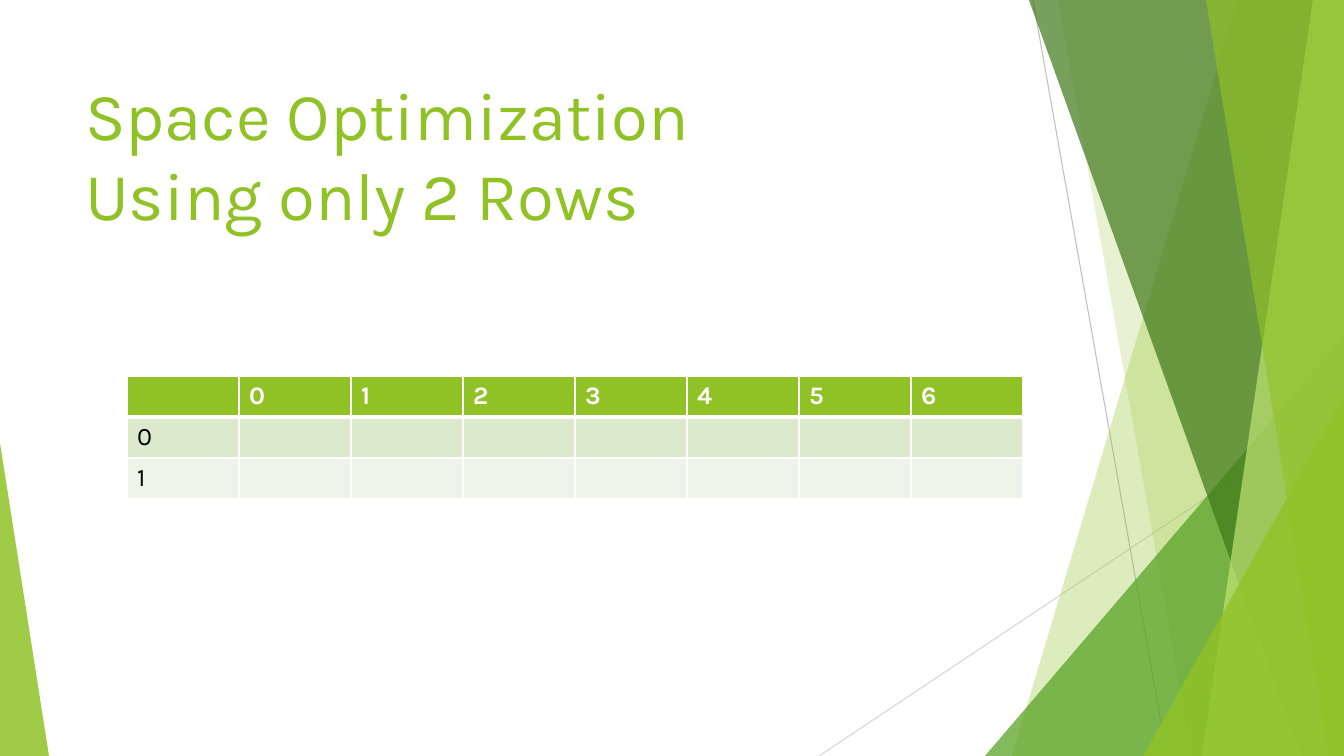
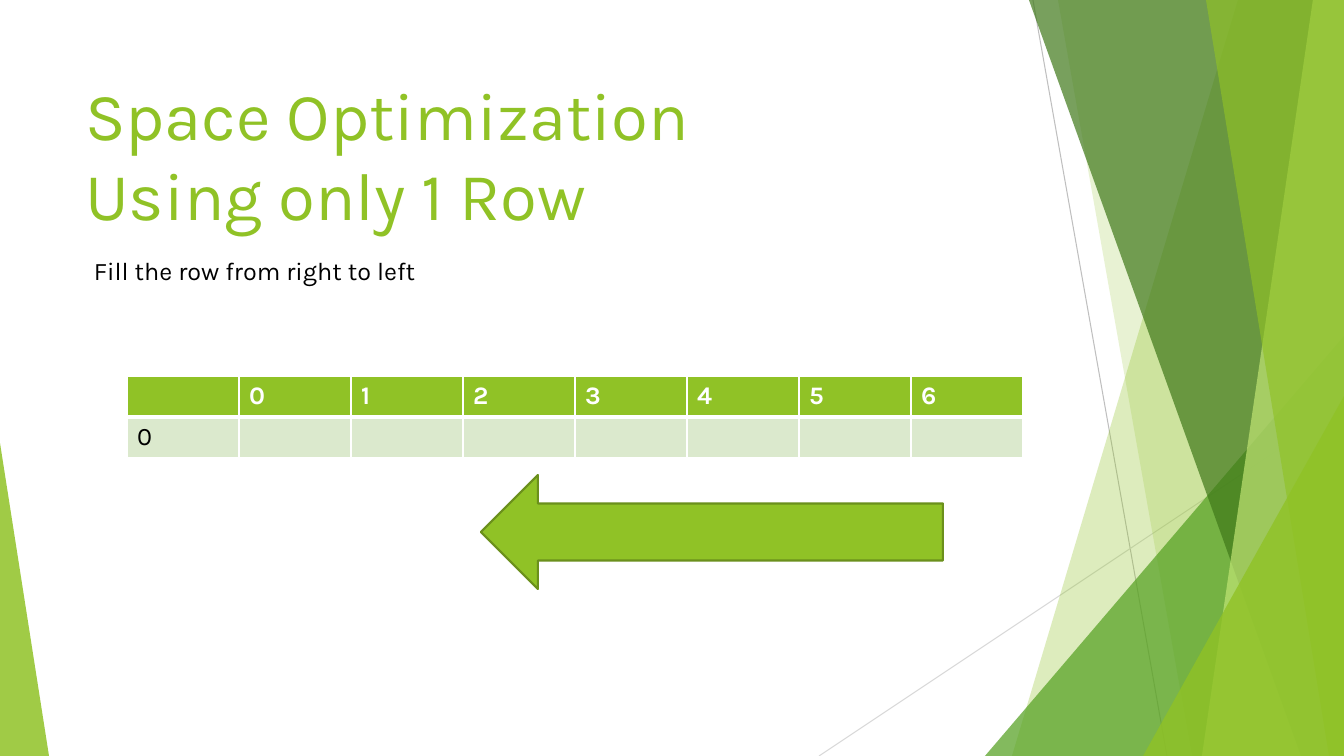
from lxml import etree
from pptx import Presentation
from pptx import util as u
from pptx.dml.color import RGBColor
from pptx.enum import shapes, text
from pptx.oxml.ns import qn

PX = 914400 / 100.8
WIDE, HIGH = 1344, 756
FONT = "Karla"
GREEN, WHITE, BLACK = "90C226", "FFFFFF", "000000"
ROWS = ["DBE9CD", "EEF4E8"]
HEADS = ["", "0", "1", "2", "3", "4", "5", "6"]
COL, ROW = 112, 41


def px(*sizes):
    """Turn pixel lengths into a list of EMU lengths."""
    return [u.Emu(round(size * PX)) for size in sizes]


def paint(target, color):
    """Give a fill or a font one solid colour."""
    if hasattr(target, "solid"):
        target.solid()
        target.fore_color.rgb = RGBColor.from_string(color)
    else:
        target.color.rgb = RGBColor.from_string(color)


deck = Presentation()
deck.slide_width, deck.slide_height = px(WIDE, HIGH)
layout = deck.slide_layouts[5]
spot = layout.placeholders[0]
spot.left, spot.top, spot.width, spot.height = px(75, 68, 947, 145)
first = deck.slides.add_slide(layout)
decor = []

# Thin lines: ends, colour
for ends, color in [((1033, 0, 1167, HIGH), "BFBFBF"),
                    ((WIDE, 406, 819, HIGH), "D9D9D9")]:
    line = first.shapes.add_connector(shapes.MSO_CONNECTOR.STRAIGHT, *px(*ends))
    paint(line.line.fill, color)
    line.line.width = u.Pt(0.75)
    etree.SubElement(line.element.spPr, qn("a:effectLst"))
    decor.append(line)

# Bands give the top and bottom of their left edge, peaks give their box
facets = [
    ((1238, 1012), GREEN, 30),
    ((1058, 1192), GREEN, 20),
    ((985, 336, 359, 420), "54A021", 72),
    ((1029, 1301), "3F7819", 70),
    ((1313, 1202), "C0E474", 70),
    ((1206, 1329), GREEN, 65),
    ((1143, 396, 201, 360), GREEN, 80),
    ((0, 443, 49, 313), GREEN, 85),
]
for place, color, alpha in facets:
    if len(place) == 2:
        top, base = place
        pen = first.shapes.build_freeform(*px(top, 0), scale=1.0)
        pen.add_line_segments([px(WIDE, 0), px(WIDE, HIGH), px(base, HIGH)])
        facet = pen.convert_to_shape()
    else:
        facet = first.shapes.add_shape(
            shapes.MSO_SHAPE.ISOSCELES_TRIANGLE, *px(*place))
        facet.adjustments[0] = 1 if place[0] else 0
    facet.shadow.inherit = False
    facet.line.fill.background()
    paint(facet.fill, color)
    tint = facet.element.spPr.find(qn("a:solidFill"))[0]
    etree.SubElement(tint, qn("a:alpha"), val=str(alpha * 1000))
    decor.append(facet)

# Both slides share the decoration through their layout
for num, part in enumerate(decor):
    part.element.xpath(".//p:cNvPr")[0].set("id", str(100 + num))
    layout.shapes.element.insert(2 + num, part.element)

second = deck.slides.add_slide(layout)
for slide, last, count in [(first, "Using only 2 Rows", 2),
                           (second, "Using only 1 Row", 1)]:
    title = slide.shapes.title
    title.text = "Space Optimization\v" + last
    frame = title.text_frame
    frame.auto_size = text.MSO_AUTO_SIZE.NONE
    frame.vertical_anchor = text.MSO_ANCHOR.TOP
    para = frame.paragraphs[0]
    para.alignment = text.PP_ALIGN.LEFT
    para.font.name, para.font.size = FONT, u.Pt(48)
    paint(para.font, GREEN)

    grid = slide.shapes.add_table(
        count + 1, len(HEADS),
        *px(127, 376, COL * len(HEADS), ROW * (count + 1))).table
    for col in grid.columns:
        col.width = px(COL)[0]
    for r, row in enumerate(grid.rows):
        row.height = px(ROW)[0]
        words = HEADS if r == 0 else [str(r - 1)] + [""] * (len(HEADS) - 1)
        for cell, word in zip(row.cells, words):
            sides = {"lnL": 1, "lnR": 1, "lnT": 1, "lnB": 1}
            if r == 0:
                sides["lnB"] = 3
            else:
                del sides["lnT"]
            props = cell._tc.get_or_add_tcPr()
            for side, width in sides.items():
                edge = etree.SubElement(props, qn("a:" + side),
                                        w=str(u.Pt(width)))
                solid = etree.SubElement(edge, qn("a:solidFill"))
                etree.SubElement(solid, qn("a:srgbClr"), val=WHITE)
            paint(cell.fill, ROWS[r - 1] if r else GREEN)
            cell.text = word
            font = cell.text_frame.paragraphs[0].font
            font.name, font.size, font.bold = FONT, u.Pt(18), r == 0
            paint(font, BLACK if r else WHITE)

hint = second.shapes.add_textbox(*px(84, 250, 578, 40)).text_frame
hint.word_wrap = True
hint.auto_size = text.MSO_AUTO_SIZE.SHAPE_TO_FIT_TEXT
hint.text = "Fill the row from right to left"
font = hint.paragraphs[0].font
font.name, font.size = FONT, u.Pt(18)
paint(font, BLACK)

arrow = second.shapes.add_shape(
    shapes.MSO_SHAPE.LEFT_ARROW, *px(481, 475, 462, 114))
arrow.shadow.inherit = False
paint(arrow.fill, GREEN)
paint(arrow.line.fill, "6B901C")
arrow.line.width = u.Pt(1.5)

deck.save("out.pptx")
